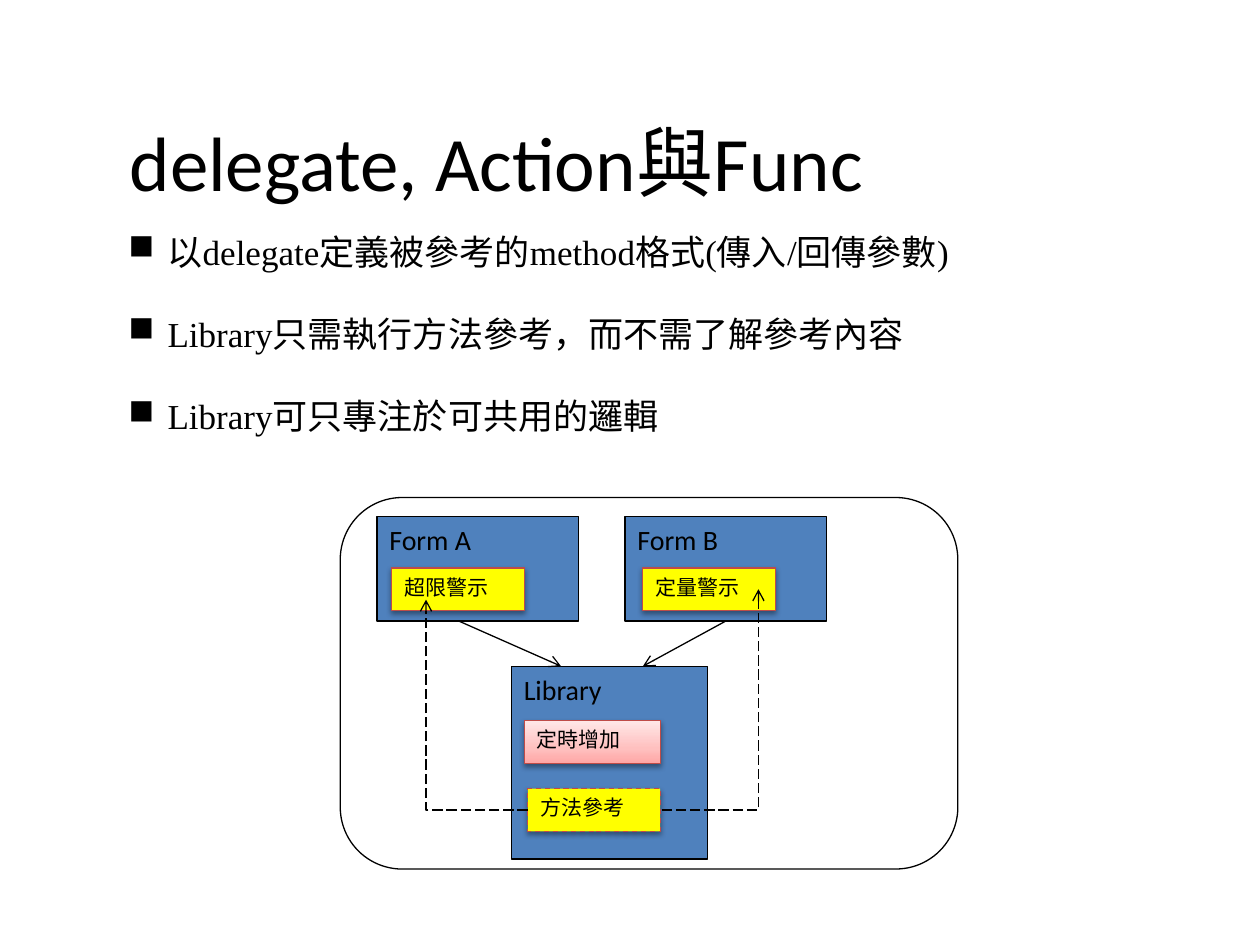
import copy

import lxml.etree
import pptx
import pptx.dml.color
import pptx.enum.dml
import pptx.enum.shapes
import pptx.enum.text
import pptx.oxml.ns
import pptx.util

Cm = pptx.util.Cm
Pt = pptx.util.Pt
qn = pptx.oxml.ns.qn
RGBColor = pptx.dml.color.RGBColor
MSO_SHAPE = pptx.enum.shapes.MSO_SHAPE
MSO_CONNECTOR = pptx.enum.shapes.MSO_CONNECTOR
MSO_LINE = pptx.enum.dml.MSO_LINE
MSO_ANCHOR = pptx.enum.text.MSO_ANCHOR
PP_ALIGN = pptx.enum.text.PP_ALIGN

BLACK = RGBColor(0x00, 0x00, 0x00)
BLUE = RGBColor(0x4F, 0x81, 0xBD)
YELLOW = RGBColor(0xFF, 0xFF, 0x00)
RED = RGBColor(0xBF, 0x4C, 0x48)
PINKS = [
    (0, RGBColor(0xFF, 0xA6, 0xA5)),
    (0.35, RGBColor(0xFF, 0xC0, 0xBF)),
    (1, RGBColor(0xFF, 0xE7, 0xE7)),
]

BULLETS = [
    "以delegate定義被參考的method格式(傳入/回傳參數)",
    "Library只需執行方法參考，而不需了解參考內容",
    "Library可只專注於可共用的邏輯",
]


def add_run(p, text, size, font):
    r = p.add_run()
    r.text = text
    r.font.size = Pt(size)
    r.font.name = font
    r.font.color.rgb = BLACK


def place_title(s, x, y, w, h):
    sp = s.shapes.title
    sp.left, sp.top, sp.width, sp.height = Cm(x), Cm(y), Cm(w), Cm(h)
    tf = sp.text_frame
    tf.vertical_anchor = MSO_ANCHOR.MIDDLE
    p = tf.paragraphs[0]
    p.alignment = PP_ALIGN.LEFT
    add_run(p, "delegate, Action與Func", 44, "Calibri")


def add_bullets(s, x, y, w, h):
    tf = s.shapes.add_textbox(Cm(x), Cm(y), Cm(w), Cm(h)).text_frame
    tf.word_wrap = True
    for i, text in enumerate(BULLETS):
        p = tf.add_paragraph() if i else tf.paragraphs[0]
        p.space_after = Pt(23)
        add_run(p, text, 20, "Times New Roman")
        pPr = p._p.get_or_add_pPr()
        pPr.set("marL", str(Cm(0.79)))
        pPr.set("indent", str(-Cm(0.79)))
        lxml.etree.SubElement(pPr, qn("a:buChar")).set("char", "■")


def fill_gradient(sp, stops):
    sp.fill.gradient()
    sp.fill.gradient_angle = 90
    gs_list = sp._element.spPr.find(".//" + qn("a:gsLst"))
    gs_list.insert(1, copy.deepcopy(gs_list[0]))
    for stop, (position, color) in zip(sp.fill.gradient_stops, stops):
        stop.position = position
        stop.color.rgb = color


def add_shadow(sp):
    effects = sp._element.spPr.find(qn("a:effectLst"))
    shadow = lxml.etree.SubElement(effects, qn("a:outerShdw"))
    shadow.set("blurRad", str(Pt(3.1)))
    shadow.set("dist", str(Pt(1.6)))
    shadow.set("dir", "5400000")
    shadow.set("rotWithShape", "0")
    color = lxml.etree.SubElement(shadow, qn("a:srgbClr"))
    color.set("val", str(BLACK))
    lxml.etree.SubElement(color, qn("a:alpha")).set("val", "38000")


def add_box(shapes, x, y, w, h, text, size, fill, line):
    sp = shapes.add_shape(MSO_SHAPE.RECTANGLE, Cm(x), Cm(y), Cm(w), Cm(h))
    sp.shadow.inherit = False
    if isinstance(fill, list):
        fill_gradient(sp, fill)
    else:
        sp.fill.solid()
        sp.fill.fore_color.rgb = fill
    sp.line.color.rgb = line
    sp.line.width = Pt(0.75)
    tf = sp.text_frame
    tf.word_wrap = True
    tf.vertical_anchor = MSO_ANCHOR.TOP
    p = tf.paragraphs[0]
    p.alignment = PP_ALIGN.LEFT
    add_run(p, text, size, "Calibri")
    return sp


def add_arrow(shapes, x1, y1, x2, y2, bent=False):
    kind = MSO_CONNECTOR.ELBOW if bent else MSO_CONNECTOR.STRAIGHT
    cxn = shapes.add_connector(kind, Cm(x1), Cm(y1), Cm(x2), Cm(y2))
    cxn.line.color.rgb = BLACK
    cxn.line.width = Pt(0.75)
    spPr = cxn._element.spPr
    if bent:
        spPr.find(qn("a:prstGeom")).set("prst", "bentConnector2")
        cxn.line.dash_style = MSO_LINE.LONG_DASH
    tail = lxml.etree.SubElement(spPr.find(qn("a:ln")), qn("a:tailEnd"))
    tail.set("type", "arrow")
    lxml.etree.SubElement(spPr, qn("a:effectLst"))


def add_diagram(s, x, y, w, h):
    shapes = s.shapes.add_group_shape().shapes

    for dx, dy, bw, bh, text in [
        (0.74, 0.38, 4.06, 2.11, "Form A"),
        (5.74, 0.38, 4.06, 2.11, "Form B"),
        (3.45, 3.4, 3.96, 3.89, "Library"),
    ]:
        add_box(shapes, x + dx, y + dy, bw, bh, text, 16, BLUE, BLACK)

    for dx, dy, bw, text, fill, dash in [
        (3.71, 4.5, 2.74, "定時增加", PINKS, None),
        (1.04, 1.42, 2.67, "超限警示", YELLOW, None),
        (6.1, 1.42, 2.67, "定量警示", YELLOW, None),
        (3.78, 5.87, 2.67, "方法參考", YELLOW, MSO_LINE.DASH),
    ]:
        sp = add_box(shapes, x + dx, y + dy, bw, 0.86, text, 12, fill, RED)
        sp.line.dash_style = dash
        add_shadow(sp)

    frame = shapes.add_shape(
        MSO_SHAPE.ROUNDED_RECTANGLE, Cm(x), Cm(y), Cm(w), Cm(h))
    frame.shadow.inherit = False
    frame.fill.background()
    frame.line.color.rgb = BLACK
    frame.line.width = Pt(0.75)

    for x1, y1, x2, y2, bent in [
        (2.39, 2.49, 4.45, 3.4, False),
        (7.77, 2.49, 6.1, 3.4, False),
        (6.48, 6.3, 8.43, 1.85, True),
        (3.78, 6.3, 1.73, 2.06, True),
    ]:
        add_arrow(shapes, x + x1, y + y1, x + x2, y + y2, bent)


def main():
    prs = pptx.Presentation()
    prs.slide_width = Cm(25.4)
    prs.slide_height = Cm(19.05)
    s = prs.slides.add_slide(prs.slide_layouts.get_by_name("Title Only"))
    add_bullets(s, 2.34, 4.52, 22.15, 12.8)
    place_title(s, 2.36, 2.13, 22.15, 2.21)
    add_diagram(s, 6.86, 10.03, 12.45, 7.49)
    prs.save("out.pptx")


if __name__ == "__main__":
    main()
